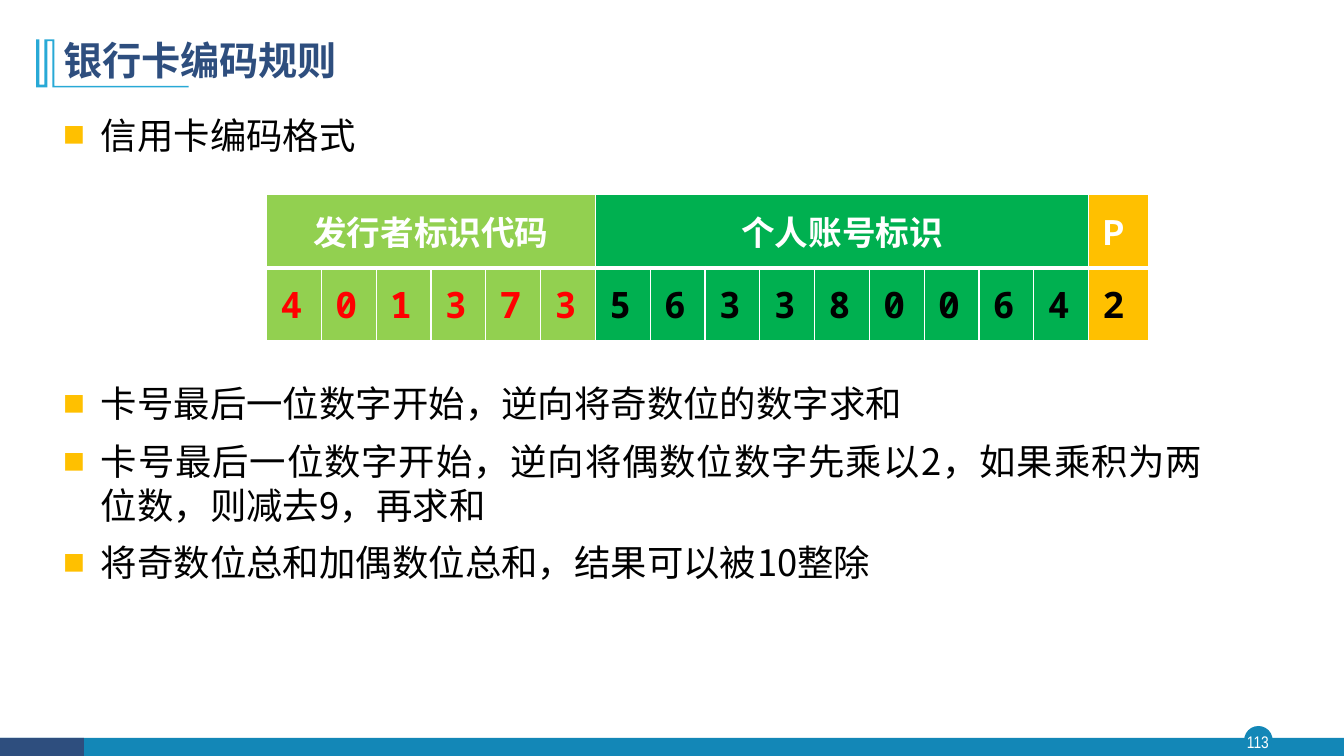
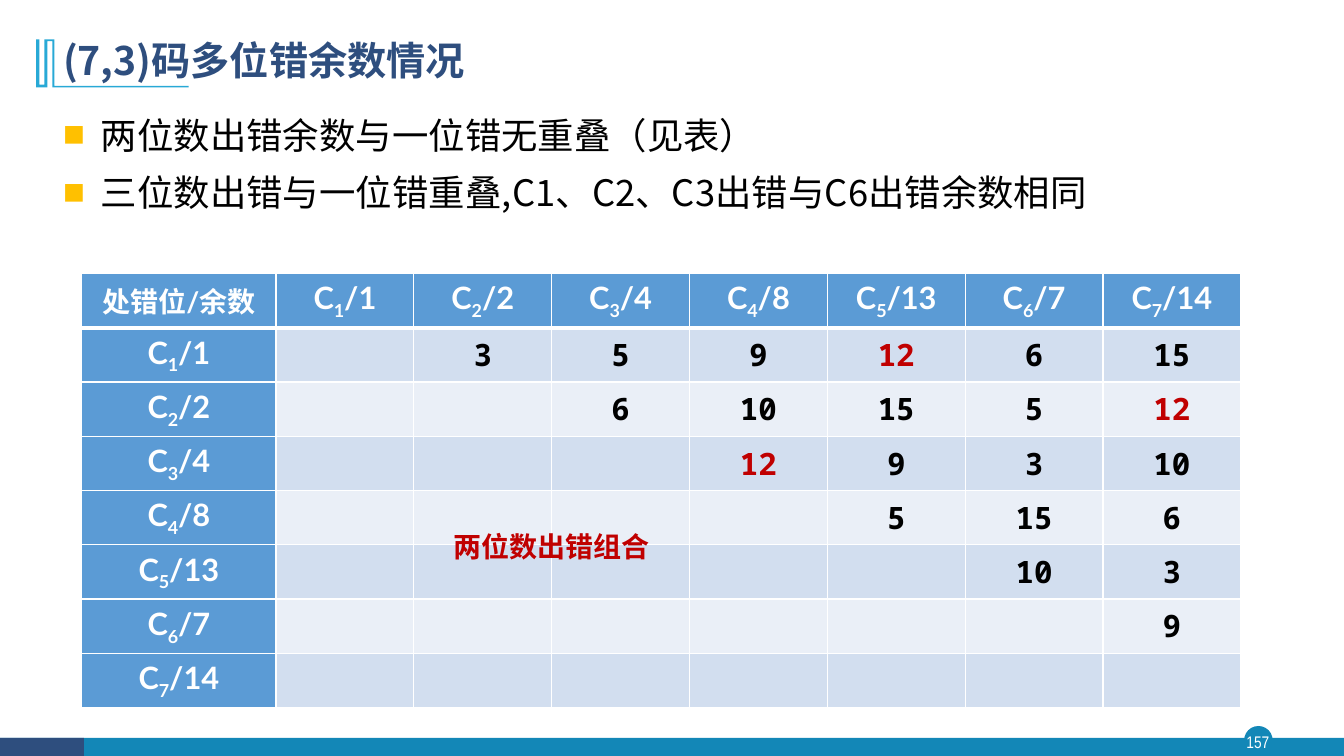
"""Build two slides on check codes: bank card numbering and (7,3) code remainders."""
import lxml.etree
import pptx
import pptx.dml.color
import pptx.enum.shapes
import pptx.enum.text
import pptx.oxml.ns
import pptx.util

Pt = pptx.util.Pt
RGBColor = pptx.dml.color.RGBColor
SHAPE = pptx.enum.shapes.MSO_SHAPE
ANCHOR = pptx.enum.text.MSO_ANCHOR
ALIGN = pptx.enum.text.PP_ALIGN
qn = pptx.oxml.ns.qn

NAVY = RGBColor(0x2E, 0x4E, 0x7E)
TEAL = RGBColor(0x13, 0x87, 0xB7)
SKY = RGBColor(0x28, 0xA9, 0xD6)
BLUE = RGBColor(0x5B, 0x9B, 0xD5)
BAND_DARK = RGBColor(0xD2, 0xDE, 0xEF)
BAND_LIGHT = RGBColor(0xEA, 0xEF, 0xF7)
AMBER = RGBColor(0xFF, 0xC0, 0x00)
LIME = RGBColor(0x92, 0xD0, 0x50)
GREEN = RGBColor(0x00, 0xB0, 0x50)
RED = RGBColor(0xFF, 0x00, 0x00)
CRIMSON = RGBColor(0xC0, 0x00, 0x00)
BLACK = RGBColor(0, 0, 0)
WHITE = RGBColor(0xFF, 0xFF, 0xFF)

CJK = "Noto Sans CJK SC"
MONO = "Noto Sans Mono"

TITLE_FONT = {"name": CJK, "size": Pt(28), "bold": True}
BODY_FONT = {"name": CJK, "size": Pt(26), "bold": False}
PAGE_FONT = {"name": "Arial Narrow", "size": Pt(12)}
GROUP_FONT = {"name": CJK, "size": Pt(24), "bold": True}
DIGIT_FONT = {"name": MONO, "size": Pt(26), "bold": True}
CORNER_FONT = {"name": "Lato", "size": Pt(20), "bold": True}
SYMBOL_FONT = {"name": "Lato", "size": Pt(22), "bold": True}
VALUE_FONT = {"name": MONO, "size": Pt(22), "bold": True}

BRACKET = [
    (38.9, 28.1), (38.9, 61.4), (134.8, 61.4), (134.8, 62.5), (37.4, 62.5),
    (37.4, 29.5), (33.8, 29.5), (33.8, 62.5), (25.9, 62.5), (25.9, 28.1),
    (28.1, 28.1), (28.1, 60.5), (31.7, 60.5), (31.7, 28.1),
]
ISSUER, ACCOUNT, CHECK = "401373", "563380064", "2"
REMAINDERS = [1, 2, 4, 8, 13, 7, 14]
OVERLAP = 12


def set_values(target, values):
    """Set attributes of an object from a dict."""
    for name, value in values.items():
        setattr(target, name, value)


def add_run(paragraph, text, font, color, baseline=None):
    """Append a formatted run, with an optional baseline shift."""
    run = paragraph.add_run()
    run.text = text
    set_values(run.font, font)
    run.font.color.rgb = color
    properties = run._r.get_or_add_rPr()
    east_asian = lxml.etree.Element(qn("a:ea"), typeface=CJK)
    properties.find(qn("a:latin")).addnext(east_asian)
    if baseline:
        properties.set("baseline", str(baseline))


def add_text_box(slide, box, margin=None, **frame_values):
    """Add a text box and return its frame."""
    frame = slide.shapes.add_textbox(*map(Pt, box)).text_frame
    set_values(frame, {"word_wrap": True, **frame_values})
    if margin is not None:
        sides = ("left", "top", "right", "bottom")
        set_values(frame, {f"margin_{side}": Pt(margin) for side in sides})
    return frame


def paint(shape, color):
    """Give a shape a flat fill without line or shadow."""
    shape.shadow.inherit = False
    shape.fill.solid()
    shape.fill.fore_color.rgb = color
    shape.line.fill.background()


def add_frame(slide, title, page):
    """Add the footer, the page number and the bracketed title."""
    footer = [
        (SHAPE.OVAL, (888.7, 518.6, 20.4, 20.4), TEAL),
        (SHAPE.RECTANGLE, (0, 527, 960, 13), TEAL),
        (SHAPE.RECTANGLE, (0, 527, 60, 13), NAVY),
    ]
    for kind, box, color in footer:
        paint(slide.shapes.add_shape(kind, *map(Pt, box)), color)
    number = add_text_box(slide, (887, 519, 23, 22), 0,
                          vertical_anchor=ANCHOR.MIDDLE).paragraphs[0]
    number.alignment = ALIGN.CENTER
    add_run(number, page, PAGE_FONT, WHITE)

    corners = [(Pt(x), Pt(y)) for x, y in BRACKET]
    builder = slide.shapes.build_freeform(*corners[0], scale=1.0)
    builder.add_line_segments(corners[1:], close=True)
    paint(builder.convert_to_shape(), SKY)

    heading = add_text_box(slide, (38, 20, 828, 49),
                           vertical_anchor=ANCHOR.MIDDLE).paragraphs[0]
    heading.line_spacing = 0.9
    add_run(heading, title, TITLE_FONT, NAVY)


def add_bullets(slide, top, height, texts):
    """Add a box of paragraphs with amber square bullets."""
    frame = add_text_box(slide, (38, top, 828, height))
    for index, text in enumerate(texts):
        paragraph = frame.add_paragraph() if index else frame.paragraphs[0]
        properties = paragraph._p.get_or_add_pPr()
        properties.set("marL", str(Pt(27)))
        properties.set("indent", str(-Pt(27)))
        color = lxml.etree.SubElement(properties, qn("a:buClr"))
        lxml.etree.SubElement(color, qn("a:srgbClr"), val=str(AMBER))
        lxml.etree.SubElement(properties, qn("a:buFont"), typeface=MONO)
        lxml.etree.SubElement(properties, qn("a:buChar"), char="■")
        set_values(paragraph, {
            "alignment": ALIGN.JUSTIFY,
            "line_spacing": 1.0,
            "space_before": Pt(10 if index else 0),
        })
        add_run(paragraph, text, BODY_FONT, BLACK)


def add_borders(cell, row):
    """Draw white cell borders, thicker below the header row."""
    properties = cell._tc.get_or_add_tcPr()
    widths = {"L": 1, "R": 1, "T": 3 if row == 1 else 1, "B": 1 if row else 3}
    for index, (side, width) in enumerate(widths.items()):
        line = lxml.etree.Element(qn(f"a:ln{side}"), w=str(Pt(width)))
        fill = lxml.etree.SubElement(line, qn("a:solidFill"))
        lxml.etree.SubElement(fill, qn("a:srgbClr"), val=str(WHITE))
        properties.insert(index, line)


def add_grid(slide, left, top, widths, heights, margins, anchor, fill_for):
    """Add a table with white borders, its fills chosen by row and column."""
    shape = slide.shapes.add_table(
        len(heights), len(widths), Pt(left), Pt(top), Pt(sum(widths)), Pt(sum(heights)))
    table = shape.table
    for column, width in zip(table.columns, widths):
        column.width = Pt(width)
    for row, height in zip(table.rows, heights):
        row.height = Pt(height)
    across, down = map(Pt, margins)
    for row in range(len(heights)):
        for column in range(len(widths)):
            cell = table.cell(row, column)
            set_values(cell, {
                "margin_left": across, "margin_right": across,
                "margin_top": down, "margin_bottom": down,
                "vertical_anchor": anchor,
            })
            cell.fill.solid()
            cell.fill.fore_color.rgb = fill_for(row, column)
            add_borders(cell, row)
    return table


def write_cell(cell, pieces, font, color, alignment=ALIGN.CENTER):
    """Write (text, baseline) pieces into a cell."""
    paragraph = cell.text_frame.paragraphs[0]
    paragraph.alignment = alignment
    for text, baseline in pieces:
        add_run(paragraph, text, font, color, baseline)


def add_card_table(slide):
    """Show the parts of a card number above its digits."""
    groups = [
        ("发行者标识代码", ISSUER, LIME, RED, ALIGN.CENTER),
        ("个人账号标识", ACCOUNT, GREEN, BLACK, ALIGN.CENTER),
        ("P", CHECK, AMBER, BLACK, ALIGN.LEFT),
    ]
    fills = [fill for _, digits, fill, _, _ in groups for _ in digits]
    table = add_grid(slide, 190.4, 139.2, [39.15] * 15 + [43], [52, 52],
                     (10, 5), ANCHOR.MIDDLE, lambda row, column: fills[column])
    start = 0
    for label, digits, _, color, alignment in groups:
        end = start + len(digits)
        header = table.cell(0, start)
        if len(digits) > 1:
            header.merge(table.cell(0, end - 1))
        write_cell(header, [(label, None)], GROUP_FONT, WHITE, alignment)
        for column, digit in enumerate(digits, start):
            write_cell(table.cell(1, column), [(digit, None)],
                       DIGIT_FONT, color, ALIGN.LEFT)
        start = end


def add_remainder_table(slide):
    """Show the remainder of each pair of wrong bits as their exclusive or."""
    def fill_for(row, column):
        """Choose the header or band colour."""
        if row == 0 or column == 0:
            return BLUE
        return BAND_DARK if row % 2 else BAND_LIGHT

    count = len(REMAINDERS)
    table = add_grid(slide, 58.4, 195.3, [138.8] + [98.45] * count,
                     [38.75] * (count + 1), (8.6, 4.3), ANCHOR.TOP, fill_for)
    write_cell(table.cell(0, 0), [("处错位/余数", None)], CORNER_FONT, WHITE)
    for row, first in enumerate(REMAINDERS, 1):
        symbol = [("C", None), (str(row), -25000), (f"/{first}", None)]
        for cell in (table.cell(0, row), table.cell(row, 0)):
            write_cell(cell, symbol, SYMBOL_FONT, WHITE)
        for column in range(row + 1, count + 1):
            value = first ^ REMAINDERS[column - 1]
            color = CRIMSON if value == OVERLAP else BLACK
            write_cell(table.cell(row, column), [(str(value), None)],
                       VALUE_FONT, color)


def build_card_slide(slide):
    """Build the slide on bank card numbers."""
    add_frame(slide, "银行卡编码规则", "113")
    add_bullets(slide, 77, 50, ["信用卡编码格式"])
    add_card_table(slide)
    add_bullets(slide, 269, 190, [
        "卡号最后一位数字开始，逆向将奇数位的数字求和",
        "卡号最后一位数字开始，逆向将偶数位数字先乘以2，如果乘积为两位数，则减去9，再求和",
        "将奇数位总和加偶数位总和，结果可以被10整除",
    ])


def build_remainder_slide(slide):
    """Build the slide on remainders of multiple errors."""
    add_frame(slide, "(7,3)码多位错余数情况", "157")
    add_bullets(slide, 77, 100, [
        "两位数出错余数与一位错无重叠（见表）",
        "三位数出错与一位错重叠,C1、C2、C3出错与C6出错余数相同",
    ])
    add_remainder_table(slide)
    label = add_text_box(slide, (316.6, 375, 156, 32), word_wrap=False)
    add_run(label.paragraphs[0], "两位数出错组合", CORNER_FONT, CRIMSON)


def main():
    """Create and save the presentation."""
    presentation = pptx.Presentation()
    set_values(presentation, {"slide_width": Pt(960), "slide_height": Pt(540)})
    blank = presentation.slide_layouts[6]
    for build in (build_card_slide, build_remainder_slide):
        build(presentation.slides.add_slide(blank))
    presentation.save("out.pptx")


if __name__ == "__main__":
    main()
